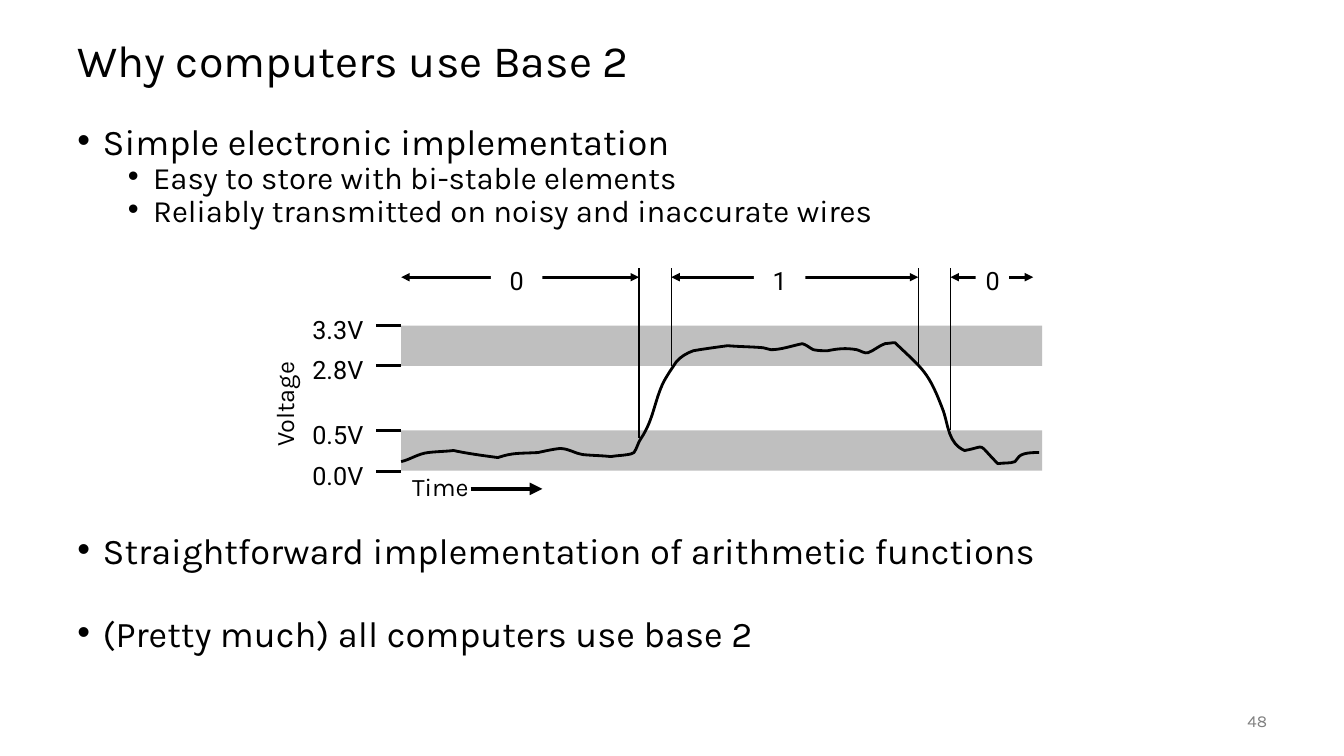
from lxml import etree
from pptx import Presentation
from pptx.dml.color import RGBColor
from pptx.enum.shapes import MSO_CONNECTOR, MSO_SHAPE
from pptx.enum.text import MSO_ANCHOR, PP_ALIGN
from pptx.oxml.ns import qn
from pptx.util import Inches, Pt

COLORS = {"ink": "000000", "band": "BFBFBF", "paper": "FFFFFF", "number": "808080"}

# Time axis and voltage levels of the diagram
LEFT, WIDTH = 3.98, 6.36
LEVELS = {"3.3V": 3.23, "2.8V": 3.63, "0.5V": 4.27, "0.0V": 4.68}
BAND_H = 0.4
ARROW_Y = 2.75

# (x, bottom) of the thin guides between bits
GUIDES = [(6.34, 4.35), (6.66, 3.63), (9.11, 3.63), (9.43, 4.27)]
# (bit, arrow start, arrow end, label left, label width)
BITS = [("0", LEFT, 6.34, 4.87, 0.51),
        ("1", 6.66, 9.11, 7.48, 0.51),
        ("0", 9.43, 10.25, 9.68, 0.33)]

# Voltage curve: a start point, then two control points and an end per segment
SIGNAL_START = (LEFT, 4.58)
SIGNAL = [
    (4.07, 4.56, 4.15, 4.5, 4.25, 4.49), (4.33, 4.48, 4.41, 4.48, 4.5, 4.47),
    (4.64, 4.5, 4.79, 4.52, 4.94, 4.54), (5.09, 4.49, 5.14, 4.5, 5.34, 4.49),
    (5.38, 4.48, 5.52, 4.45, 5.56, 4.45), (5.64, 4.45, 5.71, 4.5, 5.78, 4.51),
    (5.88, 4.52, 5.97, 4.52, 6.06, 4.53), (6.12, 4.52, 6.17, 4.52, 6.23, 4.51),
    (6.25, 4.51, 6.27, 4.5, 6.29, 4.49), (6.32, 4.45, 6.33, 4.39, 6.36, 4.35),
    (6.48, 4.17, 6.49, 4, 6.57, 3.82), (6.6, 3.75, 6.67, 3.65, 6.71, 3.59),
    (6.75, 3.54, 6.82, 3.5, 6.88, 3.48), (6.99, 3.46, 7.22, 3.43, 7.22, 3.43),
    (7.33, 3.44, 7.45, 3.44, 7.57, 3.45), (7.6, 3.45, 7.62, 3.47, 7.65, 3.47),
    (7.75, 3.47, 7.86, 3.43, 7.96, 3.41), (8, 3.42, 8.03, 3.45, 8.07, 3.47),
    (8.12, 3.48, 8.16, 3.48, 8.21, 3.48), (8.31, 3.46, 8.39, 3.45, 8.5, 3.47),
    (8.54, 3.48, 8.58, 3.51, 8.61, 3.5), (8.67, 3.48, 8.72, 3.43, 8.78, 3.41),
    (8.81, 3.41, 8.84, 3.4, 8.88, 3.4), (9.16, 3.67, 9.21, 3.68, 9.36, 4.08),
    (9.41, 4.23, 9.41, 4.4, 9.57, 4.47), (9.8, 4.43, 9.68, 4.38, 9.9, 4.6),
    (9.96, 4.59, 10.02, 4.6, 10.07, 4.58), (10.09, 4.57, 10.09, 4.54, 10.11, 4.53),
    (10.15, 4.49, 10.25, 4.49, 10.31, 4.49),
]

# (text, level, space before in points)
BULLETS = [
    ("Simple electronic implementation", 0, 0),
    ("Easy to store with bi-stable elements", 1, 5),
    ("Reliably transmitted on noisy and inaccurate wires", 1, 5),
    ("Straightforward implementation of arithmetic functions", 0, 223),
    ("(Pretty much) all computers use base 2", 0, 38),
]
LEVEL_SIZES = (25.9, 22.2)
LEVEL_INDENTS = (0.25, 0.75)


def rgb(name):
    return RGBColor.from_string(COLORS[name])


def write(p, text, size=18, font="Karla", color="ink", align=PP_ALIGN.LEFT,
          spacing=None, before=0):
    p.alignment = align
    if spacing:
        p.line_spacing = spacing
    if before:
        p.space_before = Pt(before)
    r = p.add_run()
    r.text = text
    r.font.size = Pt(size)
    r.font.name = font
    r.font.color.rgb = rgb(color)


def add_text(s, x, y, w, h, text, wrap=True, anchor=MSO_ANCHOR.TOP, **fmt):
    sp = s.shapes.add_textbox(Inches(x), Inches(y), Inches(w), Inches(h))
    tf = sp.text_frame
    tf.word_wrap = wrap
    tf.vertical_anchor = anchor
    write(tf.paragraphs[0], text, **fmt)
    return sp


def add_bullets(s, x, y, w, h):
    sp = s.shapes.add_textbox(Inches(x), Inches(y), Inches(w), Inches(h))
    tf = sp.text_frame
    tf.word_wrap = True
    for i, (text, level, before) in enumerate(BULLETS):
        p = tf.add_paragraph() if i else tf.paragraphs[0]
        p.level = level
        pPr = p._p.get_or_add_pPr()
        pPr.set("marL", str(Inches(LEVEL_INDENTS[level])))
        pPr.set("indent", str(-Inches(0.25)))
        etree.SubElement(pPr, qn("a:buFont"), typeface="Arial")
        etree.SubElement(pPr, qn("a:buChar"), char="•")
        write(p, text, size=LEVEL_SIZES[level], spacing=0.7, before=before)


def add_rect(s, x, y, w, h, fill):
    sp = s.shapes.add_shape(MSO_SHAPE.RECTANGLE, Inches(x), Inches(y), Inches(w), Inches(h))
    sp.shadow.inherit = False
    sp.fill.solid()
    sp.fill.fore_color.rgb = rgb(fill)
    sp.line.fill.background()
    return sp


def add_line(s, x1, y1, x2, y2, width=2, arrows=()):
    sp = s.shapes.add_connector(MSO_CONNECTOR.STRAIGHT, Inches(x1), Inches(y1),
                                Inches(x2), Inches(y2))
    sp.line.color.rgb = rgb("ink")
    sp.line.width = Pt(width)
    ln = sp.line._get_or_add_ln()
    for end in arrows:
        etree.SubElement(ln, qn(f"a:{end}"), type="triangle")
    etree.SubElement(sp._element.spPr, qn("a:effectLst"))


def add_curve(s, start, segments):
    x, y = start
    builder = s.shapes.build_freeform(Inches(x), Inches(y))
    builder.add_line_segments([(Inches(seg[4]), Inches(seg[5])) for seg in segments],
                              close=False)
    sp = builder.convert_to_shape()
    # Turn each straight segment into a Bézier by adding its control points
    lines = list(sp._element.iter(qn("a:lnTo")))
    for line, (x1, y1, x2, y2, _, _) in zip(lines, segments):
        line.tag = qn("a:cubicBezTo")
        for i, (cx, cy) in enumerate([(x1, y1), (x2, y2)]):
            pt = etree.Element(qn("a:pt"), x=str(Inches(cx) - sp.left),
                               y=str(Inches(cy) - sp.top))
            line.insert(i, pt)
    sp.shadow.inherit = False
    sp.fill.background()
    sp.line.color.rgb = rgb("ink")
    sp.line.width = Pt(2)


def add_diagram(s):
    # Valid voltage ranges, with the signal over them
    for top in ("0.5V", "3.3V"):
        add_rect(s, LEFT, LEVELS[top], WIDTH, BAND_H, "band")
    add_curve(s, SIGNAL_START, SIGNAL)

    # Voltage scale
    for label, y in LEVELS.items():
        add_line(s, LEFT, y, LEFT - 0.25, y)
        add_text(s, 3, y - 0.16, 0.71, 0.4, label, wrap=False, font="Roboto")

    # Bit intervals
    for x, bottom in GUIDES:
        add_line(s, x, 2.66, x, bottom, width=1)
    for bit, start, end, x, w in BITS:
        add_line(s, start, ARROW_Y, end, ARROW_Y, arrows=("headEnd", "tailEnd"))
        sp = add_rect(s, x, 2.58, w, 0.4, "paper")
        tf = sp.text_frame
        tf.vertical_anchor = MSO_ANCHOR.TOP
        write(tf.paragraphs[0], bit, font="Roboto", align=PP_ALIGN.CENTER)


def add_axis_names(s):
    add_text(s, 2.29, 3.8, 1.06, 0.4, "Voltage").rotation = 270
    add_text(s, 3.99, 4.63, 1.06, 0.4, "Time")
    add_line(s, 4.67, 4.85, 5.38, 4.85, width=3, arrows=("tailEnd",))


def main():
    prs = Presentation()
    prs.slide_width, prs.slide_height = Inches(40 / 3), Inches(7.5)
    s = prs.slides.add_slide(prs.slide_layouts[6])

    add_text(s, 0.67, 0.25, 12, 0.75, "Why computers use Base 2", size=32,
             anchor=MSO_ANCHOR.MIDDLE, spacing=0.9)
    add_bullets(s, 0.67, 1.25, 12, 5.5)
    add_diagram(s.shapes.add_group_shape())
    add_text(s, 11.67, 6.95, 1, 0.4, "48", size=12, color="number",
             anchor=MSO_ANCHOR.MIDDLE, align=PP_ALIGN.RIGHT)
    add_axis_names(s)
    prs.save("out.pptx")


if __name__ == "__main__":
    main()
